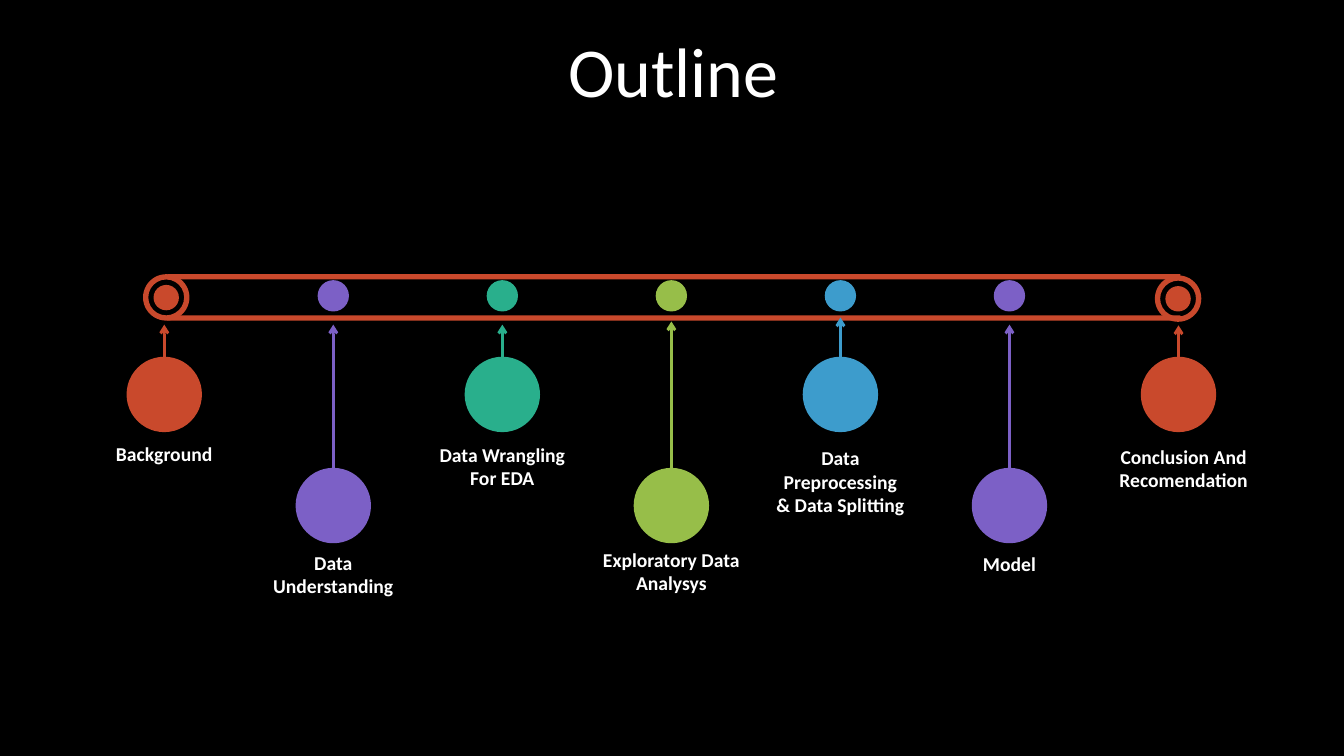
from lxml.etree import SubElement
from pptx import Presentation
from pptx.dml.color import RGBColor
from pptx.enum.shapes import MSO_CONNECTOR as Connector, MSO_SHAPE as Shape
from pptx.enum.text import MSO_ANCHOR as Anchor, PP_ALIGN as Align
from pptx.oxml.ns import qn
from pptx.util import Cm, Pt

RED, PURPLE, TEAL = "C9492C", "7C60C6", "29AF8C"
GREEN, BLUE = "97BE49", "3D9CCC"
FIRST_X, STEP = 4.14, 4.26
BALL, DOT = 1.9, 0.79
HIGH, LOW = 8.99, 11.79

STAGES = [
    (RED, "Background", 11.0, 0.86, 8.18),
    (PURPLE, "Data Understanding", 13.74, 1.45, 8.18),
    (TEAL, "Data Wrangling For EDA", 11.02, 1.45, 8.18),
    (GREEN, "Exploratory Data Analysys", 13.67, 1.45, 8.1),
    (BLUE, "Data Preprocessing\n& Data Splitting", 11.1, 2.06, 8.0),
    (PURPLE, "Model", 13.77, 0.86, 8.18),
    (RED, "Conclusion And Recomendation", 11.07, 1.45, 8.2),
]


def rgb(value):
    return RGBColor.from_string(value)


class Outline:
    """Draws the elements of a dark timeline slide, measured in centimetres."""

    font = "Calibri"
    ink = "FFFFFF"

    def __init__(self, page):
        self.page = page
        page.background.fill.solid()
        page.background.fill.fore_color.rgb = rgb("000000")

    def shape(self, kind, left, top, width, height, color):
        shape = self.page.shapes.add_shape(
            kind, Cm(left), Cm(top), Cm(width), Cm(height))
        shape.shadow.inherit = False
        shape.fill.solid()
        shape.fill.fore_color.rgb = rgb(color)
        shape.line.fill.background()
        return shape

    def disc(self, center, top, size, color):
        self.shape(Shape.OVAL, center - size / 2, top, size, size, color)

    def pulley(self, center, top):
        ring = self.shape(Shape.DONUT, center - 0.585, top, 1.17, 1.17, RED)
        ring.adjustments[0] = 0.114
        self.disc(center, top + 0.27, 0.64, RED)

    def arrow(self, center, start, tip, color):
        arrow = self.page.shapes.add_connector(
            Connector.STRAIGHT, Cm(center), Cm(start), Cm(center), Cm(tip))
        arrow.line.width = Pt(2)
        arrow.line.color.rgb = rgb(color)
        properties = arrow.line.color and arrow._element.spPr
        SubElement(properties.find(qn("a:ln")), qn("a:tailEnd"), type="arrow")
        SubElement(properties, qn("a:effectLst"))

    def text(self, text, left, top, width, height, size, bold=False, spacing=1.0):
        box = self.page.shapes.add_textbox(
            Cm(left), Cm(top), Cm(width), Cm(height))
        frame = box.text_frame
        frame.word_wrap = True
        frame.vertical_anchor = Anchor.MIDDLE
        frame.text = text
        for para in frame.paragraphs:
            para.alignment = Align.CENTER
            para.line_spacing = spacing
            for span in para.runs:
                span.font.name = self.font
                span.font.size = Pt(size)
                span.font.bold = bold
                span.font.color.rgb = rgb(self.ink)


def main():
    deck = Presentation()
    deck.slide_width, deck.slide_height = Cm(33.87), Cm(19.05)
    outline = Outline(deck.slides.add_slide(deck.slide_layouts[6]))
    outline.text("Outline", 0.89, 0.94, 32.16, 2.01, 50, spacing=0.8)

    for top in (6.91, 7.95):
        outline.shape(Shape.RECTANGLE, 4.22, top, 25.53, 0.13, RED)
    for center, top in ((4.19, 6.91), (29.69, 6.94)):
        outline.pulley(center, top)

    last = len(STAGES) - 1
    for index, (color, label, label_top, label_height, tip) in enumerate(STAGES):
        center = FIRST_X + index * STEP
        ball_top = LOW if index % 2 else HIGH
        if 0 < index < last:
            outline.disc(center, 7.06, DOT, color)
        outline.arrow(center, ball_top, tip, color)
        outline.disc(center, ball_top, BALL, color)
        label_center = center + (0.13 if index == last else 0)
        label_width = 4.5 if index == last else 4.32
        outline.text(label, label_center - label_width / 2, label_top,
                     label_width, label_height, 14, bold=True)

    deck.save("out.pptx")


if __name__ == "__main__":
    main()
